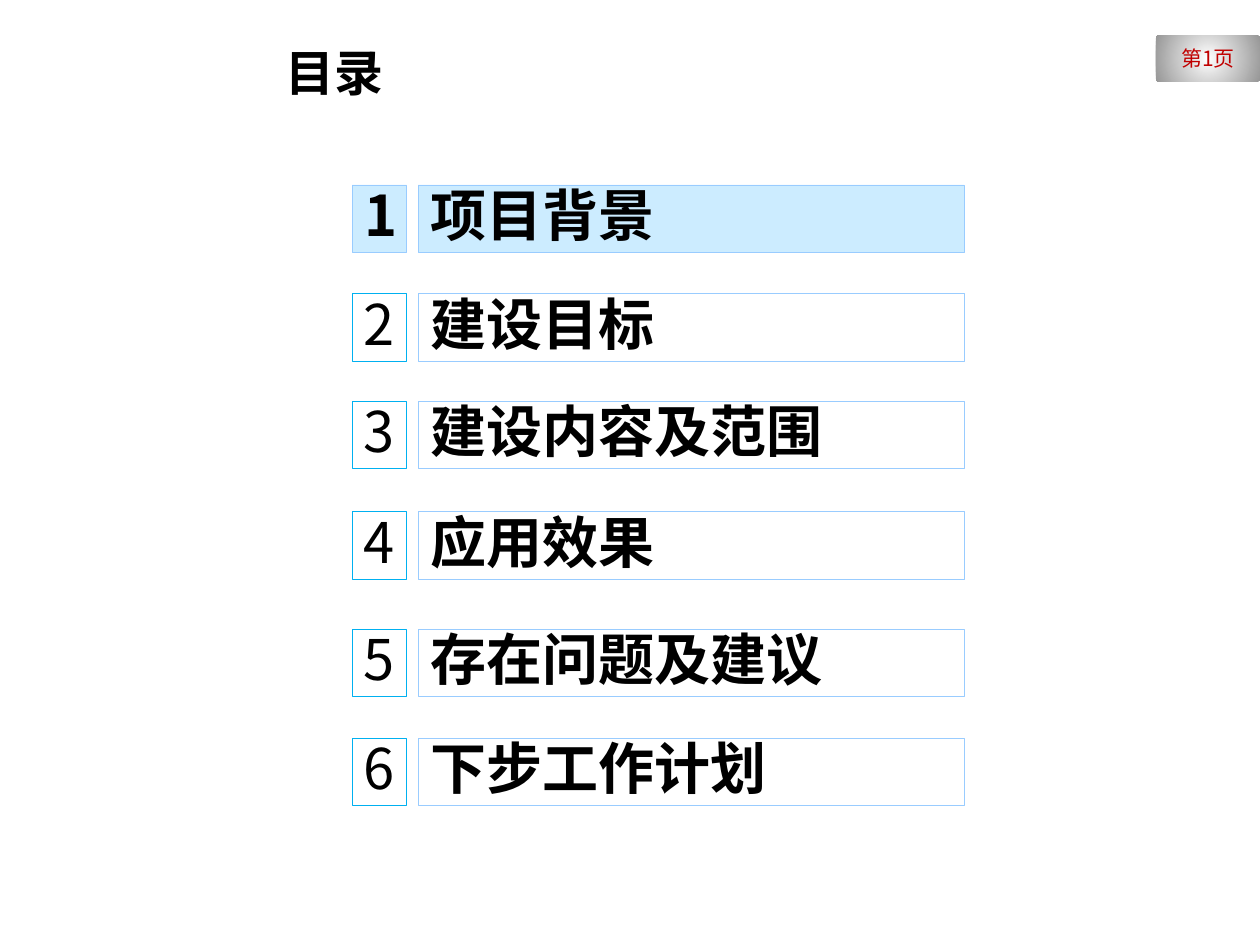
from lxml import etree
from pptx import Presentation
from pptx.dml.color import RGBColor
from pptx.enum.shapes import MSO_SHAPE
from pptx.enum.text import MSO_ANCHOR, PP_ALIGN
from pptx.oxml import parse_xml
from pptx.oxml.ns import qn
from pptx.util import Cm, Pt

RECTANGLE = MSO_SHAPE.RECTANGLE
MIDDLE = MSO_ANCHOR.MIDDLE
LEFT, CENTER = PP_ALIGN.LEFT, PP_ALIGN.CENTER
FONT = "Noto Sans CJK SC"


def color(value):
    return RGBColor.from_string(value)


def write(box, text, size, ink="000000", bold=False, align=LEFT, margins=(0.25, 0.13), spacing=1):
    frame = box.text_frame
    frame.word_wrap = True
    frame.vertical_anchor = MIDDLE
    frame.margin_left = frame.margin_right = Cm(margins[0])
    frame.margin_top = frame.margin_bottom = Cm(margins[1])
    paragraph = frame.paragraphs[0]
    paragraph.alignment = align
    paragraph.line_spacing = spacing
    run = paragraph.add_run()
    run.text = text
    run.font.name = FONT
    run.font.size = Pt(size)
    run.font.bold = bold
    run.font.color.rgb = color(ink)
    etree.SubElement(run.font._element, qn("a:ea")).set("typeface", FONT)


prs = Presentation()
prs.slide_width, prs.slide_height = Cm(25.4), Cm(19.05)
slide = prs.slides.add_slide(prs.slide_layouts[6])

page_tag = slide.shapes.add_shape(RECTANGLE, Cm(23.3), Cm(0.72), Cm(2.1), Cm(0.92))
page_tag.shadow.inherit = False
page_tag.line.fill.background()
page_tag.fill.gradient()
for stop, shade, position in zip(page_tag.fill.gradient_stops, ("FFFFFF", "979797"), (0, 1)):
    stop.color.rgb = color(shade)
    stop.position = position
direction = page_tag._element.spPr.find(".//" + qn("a:lin"))
direction.getparent().replace(direction, parse_xml(
    '<a:path xmlns:a="http://schemas.openxmlformats.org/drawingml/2006/main" path="circle">'
    '<a:fillToRect l="50000" t="50000" r="50000" b="50000"/></a:path>'))
write(page_tag, "第1页", 12, ink="C00000", align=CENTER, margins=(0.25, 0.2))

title = slide.shapes.add_textbox(Cm(5.51), Cm(0.76), Cm(17.6), Cm(1.37))
write(title, "目录", 28, bold=True)

chapters = [
    ("项目背景", 3.73),
    ("建设目标", 5.92),
    ("建设内容及范围", 8.08),
    ("应用效果", 10.31),
    ("存在问题及建议", 12.68),
    ("下步工作计划", 14.88),
]
for number, (chapter, top) in enumerate(chapters, 1):
    current = number == 1
    number_box = slide.shapes.add_shape(RECTANGLE, Cm(7.1), Cm(top), Cm(1.1), Cm(1.36))
    chapter_box = slide.shapes.add_shape(RECTANGLE, Cm(8.43), Cm(top), Cm(11.01), Cm(1.36))
    for box, edge in ((number_box, "99CCFF" if current else "00B0F0"), (chapter_box, "99CCFF")):
        box.shadow.inherit = False
        box.line.color.rgb = color(edge)
        box.line.width = Pt(0.25)
        if current:
            box.fill.solid()
            box.fill.fore_color.rgb = color("CCECFF")
        else:
            box.fill.background()
    if current:
        write(number_box, str(number), 32, bold=True, spacing=0.9)
    else:
        write(number_box, str(number), 32, align=CENTER, margins=(0, 0), spacing=0.9)
    write(chapter_box, chapter, 32, bold=True, spacing=0.9)

prs.save("out.pptx")
